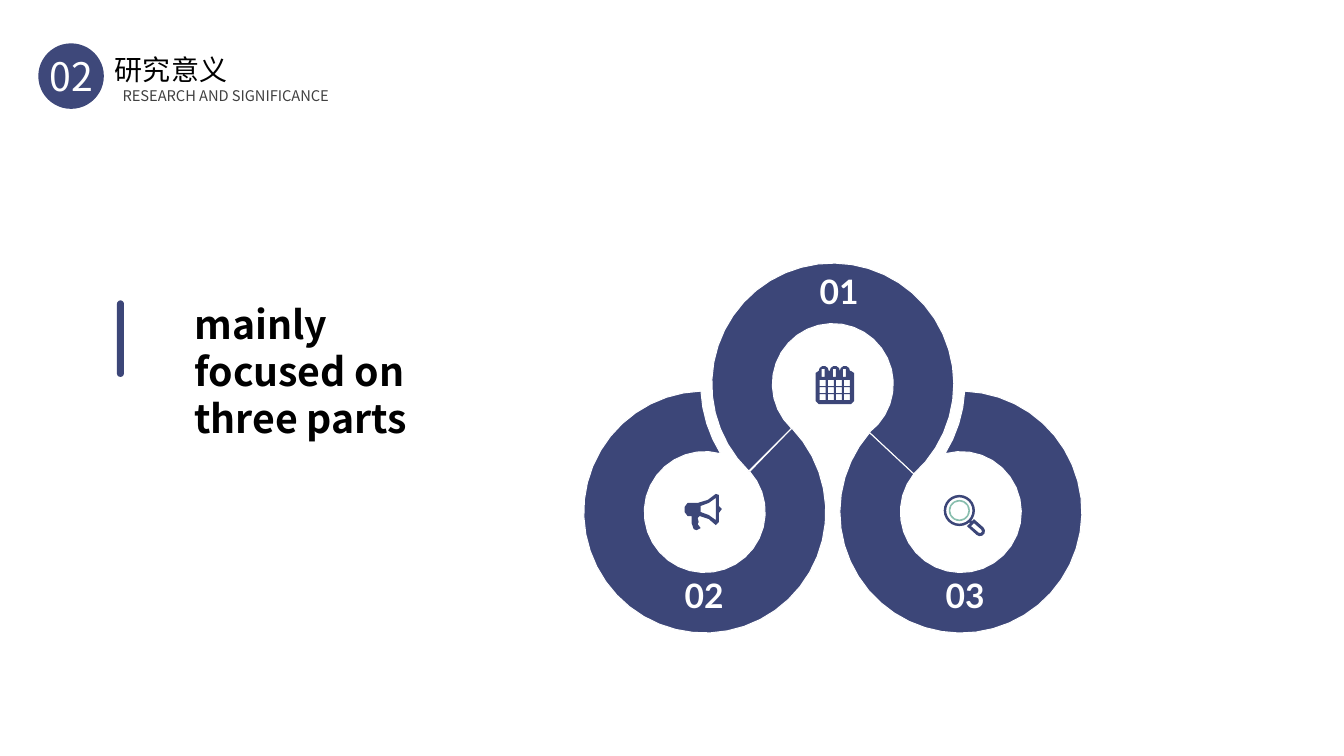
from dataclasses import dataclass
from math import ceil, cos, radians, sin, sqrt

from lxml import etree
from pptx import Presentation
from pptx.dml.color import RGBColor
from pptx.enum.shapes import MSO_SHAPE
from pptx.enum.text import MSO_ANCHOR, MSO_AUTO_SIZE, PP_ALIGN
from pptx.oxml.ns import qn
from pptx.util import Inches, Pt

LEFT, CENTER = PP_ALIGN.LEFT, PP_ALIGN.CENTER
TOP, MIDDLE = MSO_ANCHOR.TOP, MSO_ANCHOR.MIDDLE
ELLIPSE, DONUT = MSO_SHAPE.OVAL, MSO_SHAPE.DONUT
BAR = MSO_SHAPE.ROUND_2_SAME_RECTANGLE
NO_AUTOFIT = MSO_AUTO_SIZE.NONE
TITLE_ONLY = 5


@dataclass(frozen=True)
class Theme:
    badge: str = "3E487A"
    navy: str = "3C4678"
    mint: str = "88BEAE"
    white: str = "FFFFFF"
    black: str = "000000"
    grey: str = "404040"
    text_font: str = "Noto Sans CJK SC"
    number_font: str = "Lato"
    large: float = 28
    number: float = 24
    title: float = 20
    small: float = 10.5


@dataclass(frozen=True)
class Box:
    left: float
    top: float
    width: float
    height: float

    def inner(self, left, top, width, height):
        return Box(self.left + left, self.top + top, width, height)

    def lengths(self):
        return [Inches(side) for side in (self.left, self.top, self.width, self.height)]


THEME = Theme()


# Shared helpers
def paint(shape, color):
    shape.shadow.inherit = False
    shape.fill.solid()
    shape.fill.fore_color.rgb = RGBColor.from_string(color)
    shape.line.fill.background()


def write(shape, text, size, color, font=THEME.text_font, bold=False,
          align=LEFT, anchor=TOP, wrap=True, inset=(0.1, 0.05)):
    frame = shape.text_frame
    frame.auto_size = NO_AUTOFIT
    frame.word_wrap = wrap
    frame.vertical_anchor = anchor
    frame.margin_left = frame.margin_right = Inches(inset[0])
    frame.margin_top = frame.margin_bottom = Inches(inset[1])
    para = frame.paragraphs[0]
    para.alignment = align
    span = para.add_run()
    span.text = text
    span.font.size = Pt(size)
    span.font.bold = bold
    span.font.color.rgb = RGBColor.from_string(color)
    span.font.name = font
    etree.SubElement(span.font._element, qn("a:ea"), typeface=font)


def add_text(page, box, text, size, color, **style):
    write(page.shapes.add_textbox(*box.lengths()), text, size, color, **style)


def arc(x, y, radius, start, end):
    """Points along an arc; angles in degrees, clockwise from the right."""
    steps = max(2, ceil(abs(end - start) * sqrt(radius) / 9))
    angles = [radians(start + (end - start) * step / steps) for step in range(steps + 1)]
    return [(x + radius * cos(angle), y + radius * sin(angle)) for angle in angles]


def rectangle(left, top, width, height):
    right, bottom = left + width, top + height
    return [(left, top), (right, top), (right, bottom), (left, bottom)]


def add_outline(page, box, contours, color):
    """Draw closed contours, given in inches from the corner of the box."""
    placed = [[(Inches(box.left + x), Inches(box.top + y)) for x, y in contour]
              for contour in contours]
    builder = page.shapes.build_freeform(*placed[0][0], scale=1.0)
    for index, contour in enumerate(placed):
        if index:
            builder.move_to(*contour[0])
        builder.add_line_segments(contour[1:], close=True)
    shape = builder.convert_to_shape()
    paint(shape, color)
    return shape


# Header: numbered badge, title and subtitle
def add_header(page, box):
    badge = page.shapes.add_shape(ELLIPSE, *box.inner(0, 0, 0.65, 0.65).lengths())
    paint(badge, THEME.badge)
    write(badge, "02", THEME.large, THEME.white, align=CENTER, anchor=MIDDLE,
          wrap=False, inset=(0, 0))
    title = page.shapes.title
    title.left, title.top, title.width, title.height = box.inner(0.66, 0.04, 3.83, 0.44).lengths()
    write(title, "研究意义", THEME.title, THEME.black)
    add_text(page, box.inner(0.66, 0.38, 2.4, 0.28), "RESEARCH AND SIGNIFICANCE",
             THEME.small, THEME.grey, align=CENTER, wrap=False)


# Statement with an accent bar
def add_statement(page, box):
    bar = page.shapes.add_shape(BAR, *box.inner(0, 0.05, 0.07, 0.76).lengths())
    bar.adjustments[0] = bar.adjustments[1] = 0.5
    paint(bar, THEME.navy)
    add_text(page, box.inner(0.67, 0, 3.05, 1.04), "mainly focused on three parts",
             THEME.large, THEME.black, bold=True)


# Icons
def add_calendar(page, box):
    rings = (0.08, 0.19, 0.29)
    outline = [(0, 0.07), (0.03, 0.05)]
    for x in rings:
        outline += arc(x, 0.05, 0.05, 180, 360)
    outline += [(0.35, 0.05), (0.38, 0.07), (0.38, 0.35), (0.35, 0.38),
                (0.03, 0.38), (0, 0.35)]
    slots = [rectangle(x - 0.02, 0.03, 0.03, 0.08) for x in rings]
    days = [rectangle(0.04 + 0.08 * column, 0.14 + 0.07 * row, 0.06, 0.06)
            for row in range(3) for column in range(4)]
    add_outline(page, box, [outline, *slots, *days], THEME.navy)


def add_megaphone(page, box):
    body = [(0.34, 0.12), (0.37, 0.15), (0.34, 0.19), (0.34, 0.28), (0.31, 0.31),
            (0.24, 0.25), (0.15, 0.22), (0.13, 0.24), (0.14, 0.28), (0.13, 0.3),
            (0.16, 0.34), (0.12, 0.36), (0.09, 0.35), (0.07, 0.29), (0.07, 0.22),
            (0.03, 0.22), (0, 0.18), (0, 0.13), (0.03, 0.09), (0.13, 0.09),
            (0.23, 0.06), (0.31, 0), (0.34, 0.01)]
    horn = [(0.31, 0.04), (0.24, 0.09), (0.16, 0.12), (0.16, 0.18), (0.24, 0.21),
            (0.31, 0.26)]
    add_outline(page, box, [body, horn], THEME.navy)


def add_magnifier(page, box):
    for inset, size, thickness, color in ((0, 0.31, 0.08, THEME.navy),
                                          (0.05, 0.21, 0.07, THEME.mint)):
        lens = page.shapes.add_shape(DONUT, *box.inner(inset, inset, size, size).lengths())
        lens.adjustments[0] = thickness
        paint(lens, color)
    handle = [(0.3, 0.24), (0.28, 0.26), (0.27, 0.25), (0.25, 0.27), (0.26, 0.28),
              (0.23, 0.31)] + arc(0.36, 0.36, 0.05, 135, -45)
    grip = [(0.3, 0.28), (0.27, 0.31)] + arc(0.36, 0.36, 0.02, 135, -45)
    add_outline(page, box, [handle, grip], THEME.navy)


# Three linked rings with numbers and icons
def add_rings(page, box):
    outer, inner, gap = 1.2, 0.6, 1.31
    top, left, right = (2.47, 1.2), (1.2, 2.47), (3.74, 2.47)
    left_ring = (arc(*left, outer, -44, 268) + arc(*top, gap, 177, 148)
                 + arc(*left, inner, 285, -42))
    top_ring = arc(*top, outer, 134, 408) + arc(*top, inner, 413, 133)
    right_ring = (arc(*right, outer, 221, -88) + arc(*top, gap, 3, 32)
                  + arc(*right, inner, -105, 219))
    for ring in (left_ring, top_ring, right_ring):
        shape = add_outline(page, box, [ring], THEME.navy)
        shape.line.color.rgb = RGBColor.from_string(THEME.white)
        shape.line.width = Pt(0.75)

    for number, x, y in (("01", 2.14, -0.02), ("02", 0.8, 2.99), ("03", 3.39, 2.99)):
        add_text(page, box.inner(x, y, 0.87, 0.66), number, THEME.number, THEME.white,
                 font=THEME.number_font, bold=True, wrap=False, inset=(0.2, 0.1))
    add_magnifier(page, box.inner(3.57, 2.3, 0.41, 0.41))
    add_calendar(page, box.inner(2.3, 1.02, 0.38, 0.38))
    add_megaphone(page, box.inner(1, 2.29, 0.37, 0.36))


def main():
    deck = Presentation()
    deck.slide_width, deck.slide_height = Inches(13.33), Inches(7.5)
    page = deck.slides.add_slide(deck.slide_layouts[TITLE_ONLY])
    add_header(page, Box(0.38, 0.43, 4.49, 0.66))
    add_rings(page, Box(5.79, 2.61, 4.93, 3.66))
    add_statement(page, Box(1.16, 2.93, 3.72, 1.04))
    deck.save("out.pptx")


if __name__ == "__main__":
    main()
